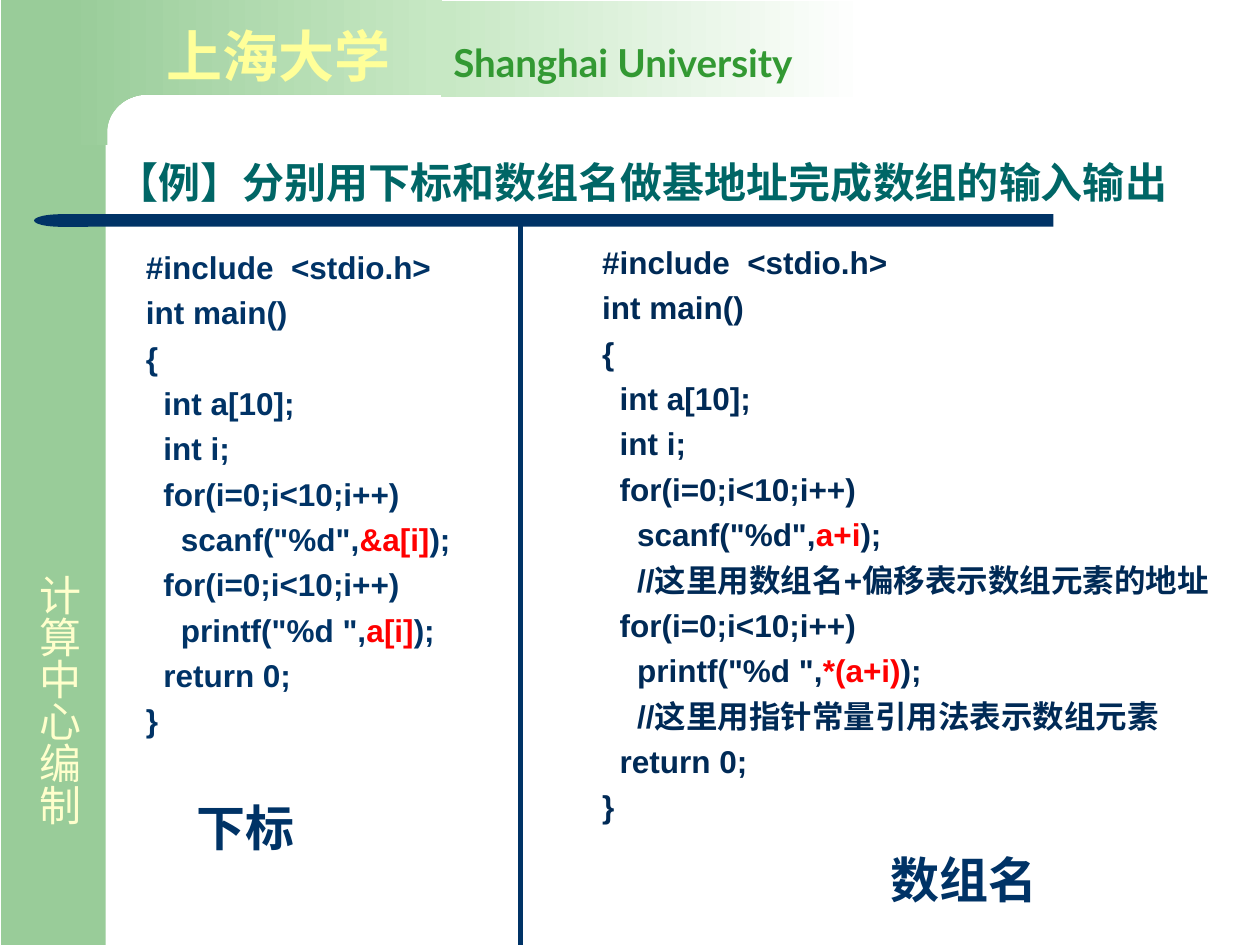
from dataclasses import dataclass
from math import cos, pi, sin
from typing import Optional

from lxml.etree import SubElement
from pptx import Presentation
from pptx.dml.color import RGBColor
from pptx.enum.shapes import MSO_CONNECTOR, MSO_SHAPE
from pptx.enum.text import MSO_ANCHOR
from pptx.oxml.ns import qn
from pptx.util import Inches, Pt

COLUMNS, ROWS = 100, 75
CORNER_STEPS = 16


@dataclass(frozen=True)
class Theme:
    band: str = "99CC99"
    band_light: str = "C7E8C4"
    paper: str = "FFFFFF"
    navy: str = "003366"
    deep_navy: str = "002A56"
    title: str = "006666"
    accent: str = "FF0000"
    school: str = "FFFF99"
    school_english: str = "339933"
    credit: str = "FFFFCC"
    font: str = "Arial"
    english_font: str = "Lato"
    code_size: int = 18
    english_size: int = 22
    title_size: int = 24
    caption_size: int = 28
    school_size: int = 32


@dataclass(frozen=True)
class Box:
    """A place on the slide, in grid columns and rows."""
    left: float
    top: float
    width: float
    height: float


@dataclass(frozen=True)
class CodePanel:
    box: Box
    color: str
    inset: tuple[float, float]
    read_argument: str
    read_note: Optional[str]
    print_argument: str
    print_note: Optional[str]
    caption: str
    caption_box: Box


THEME = Theme()
PANELS = (
    CodePanel(Box(47.6, 18.6, 50.7, 51.2), THEME.deep_navy, (0.2, 0.1),
              "a+i", "//这里用数组名+偏移表示数组元素的地址",
              "*(a+i)", "//这里用指针常量引用法表示数组元素",
              "数组名", Box(69.7, 66.9, 16.3, 5.7)),
    CodePanel(Box(10.6, 18.6, 35.4, 41), THEME.navy, (1, 0.5),
              "&a[i]", None, "a[i]", None,
              "下标", Box(14.6, 62.8, 11.8, 5.7)),
)

presentation = Presentation()
presentation.slide_width = Inches(10)
presentation.slide_height = Inches(7.5)
slide = presentation.slides.add_slide(presentation.slide_layouts[6])


def across(columns: float) -> int:
    return round(presentation.slide_width * columns / COLUMNS)


def down(rows: float) -> int:
    return round(presentation.slide_height * rows / ROWS)


def place(box: Box) -> tuple[int, int, int, int]:
    return across(box.left), down(box.top), across(box.width), down(box.height)


def paint(shape, start: str, end: Optional[str] = None) -> None:
    """Fill with one colour, or with a gradient from left to right."""
    shape.shadow.inherit = False
    shape.line.fill.background()
    if end is None:
        shape.fill.solid()
        shape.fill.fore_color.rgb = RGBColor.from_string(start)
        return
    shape.fill.gradient()
    shape.fill.gradient_angle = 0
    for stop, color in zip(shape.fill.gradient_stops, (start, end)):
        stop.color.rgb = RGBColor.from_string(color)


def add_block(kind: MSO_SHAPE, box: Box, start: str, end: Optional[str] = None):
    shape = slide.shapes.add_shape(kind, *place(box))
    paint(shape, start, end)
    return shape


def add_run(paragraph, text: str, *, size: int, color: str,
            font: str = THEME.font, bold: bool = True) -> None:
    run = paragraph.add_run()
    run.text = text
    run.font.name = font
    run.font.size = Pt(size)
    run.font.bold = bold
    run.font.color.rgb = RGBColor.from_string(color)


def add_frame(box: Box, inset: tuple[float, float] = (1, 0.5)):
    frame = slide.shapes.add_textbox(*place(box)).text_frame
    frame.word_wrap = True
    frame.margin_left = frame.margin_right = across(inset[0])
    frame.margin_top = frame.margin_bottom = down(inset[1])
    return frame


def add_text(box: Box, text: str, **style):
    frame = add_frame(box)
    add_run(frame.paragraphs[0], text, **style)
    return frame


def add_corner() -> None:
    """Join the side band to the top band with a rounded inner corner."""
    center_x, center_y, radius_x, radius_y = 11.7, 10.5, 3.2, 3
    angles = [pi / 2 * step / CORNER_STEPS for step in range(CORNER_STEPS + 1)]
    curve = [(center_x - radius_x * sin(angle), center_y - radius_y * cos(angle))
             for angle in angles]
    outline = [(35.1, 7.5), *curve, (8.5, 11.5), (5.1, 11.5), (5.1, 0)]
    builder = slide.shapes.build_freeform(across(35.1), 0)
    builder.add_line_segments([(across(x), down(y)) for x, y in outline], close=True)
    paint(builder.convert_to_shape(), THEME.band, THEME.band_light)


def add_school_name() -> None:
    paragraph = add_frame(Box(12.2, 1.2, 61.4, 6.3)).paragraphs[0]
    tabs = SubElement(paragraph._p.get_or_add_pPr(), qn("a:tabLst"))
    SubElement(tabs, qn("a:tab"), pos=str(across(22.8)), algn="l")
    add_run(paragraph, "上海大学\t", size=THEME.school_size, color=THEME.school)
    add_run(paragraph, "Shanghai University", size=THEME.english_size,
            color=THEME.school_english, font=THEME.english_font)


def code_lines(panel: CodePanel) -> list[str]:
    """List the program; bars enclose the highlighted argument."""
    loop = "  for(i=0;i<10;i++)"
    read_note = [f"    {panel.read_note}"] if panel.read_note else []
    print_note = [f"    {panel.print_note}"] if panel.print_note else []
    return ["#include  <stdio.h>", "int main()", "{", "  int a[10];", "  int i;",
            loop, f'    scanf("%d",|{panel.read_argument}|);', *read_note,
            loop, f'    printf("%d ",|{panel.print_argument}|);', *print_note,
            "  return 0;", "}"]


def add_code_panel(panel: CodePanel) -> None:
    frame = add_frame(panel.box, panel.inset)
    for number, line in enumerate(code_lines(panel)):
        paragraph = frame.add_paragraph() if number else frame.paragraphs[0]
        paragraph.line_spacing = 1.2
        for index, part in enumerate(line.split("|")):
            add_run(paragraph, part, size=THEME.code_size,
                    color=THEME.accent if index % 2 else panel.color)
    add_text(panel.caption_box, panel.caption,
             size=THEME.caption_size, color=THEME.navy)


def add_divider() -> None:
    divider = slide.shapes.add_connector(
        MSO_CONNECTOR.STRAIGHT, across(41.3), down(17.8), across(41.3), down(ROWS))
    divider.line.color.rgb = RGBColor.from_string(THEME.navy)
    divider.line.width = Pt(3)
    SubElement(divider._element.spPr, qn("a:effectLst"))


add_block(MSO_SHAPE.RECTANGLE, Box(0.1, 0, 8.3, ROWS), THEME.band)
add_corner()
add_block(MSO_SHAPE.RECTANGLE, Box(6.9, 17, 76.7, 1), THEME.navy)
rule_end = add_block(MSO_SHAPE.FLOWCHART_DELAY, Box(2.7, 17, 4.3, 1), THEME.navy)
rule_end.rotation = 180
add_block(MSO_SHAPE.RECTANGLE, Box(35, 0.1, 33.9, 7.6), THEME.band_light, THEME.paper)
add_school_name()
credit = add_text(Box(1.2, 44.6, 6, 22.8), "计算中心编制",
                  size=THEME.title_size, color=THEME.credit, bold=False)
credit._txBody.bodyPr.set("vert", "eaVert")
title = add_text(Box(8.3, 8.4, 89.8, 8.6), "【例】分别用下标和数组名做基地址完成数组的输入输出",
                 size=THEME.title_size, color=THEME.title)
title.vertical_anchor = MSO_ANCHOR.BOTTOM
title.paragraphs[0].line_spacing = 0.9
for code_panel in PANELS:
    add_code_panel(code_panel)
add_divider()
presentation.save("out.pptx")
